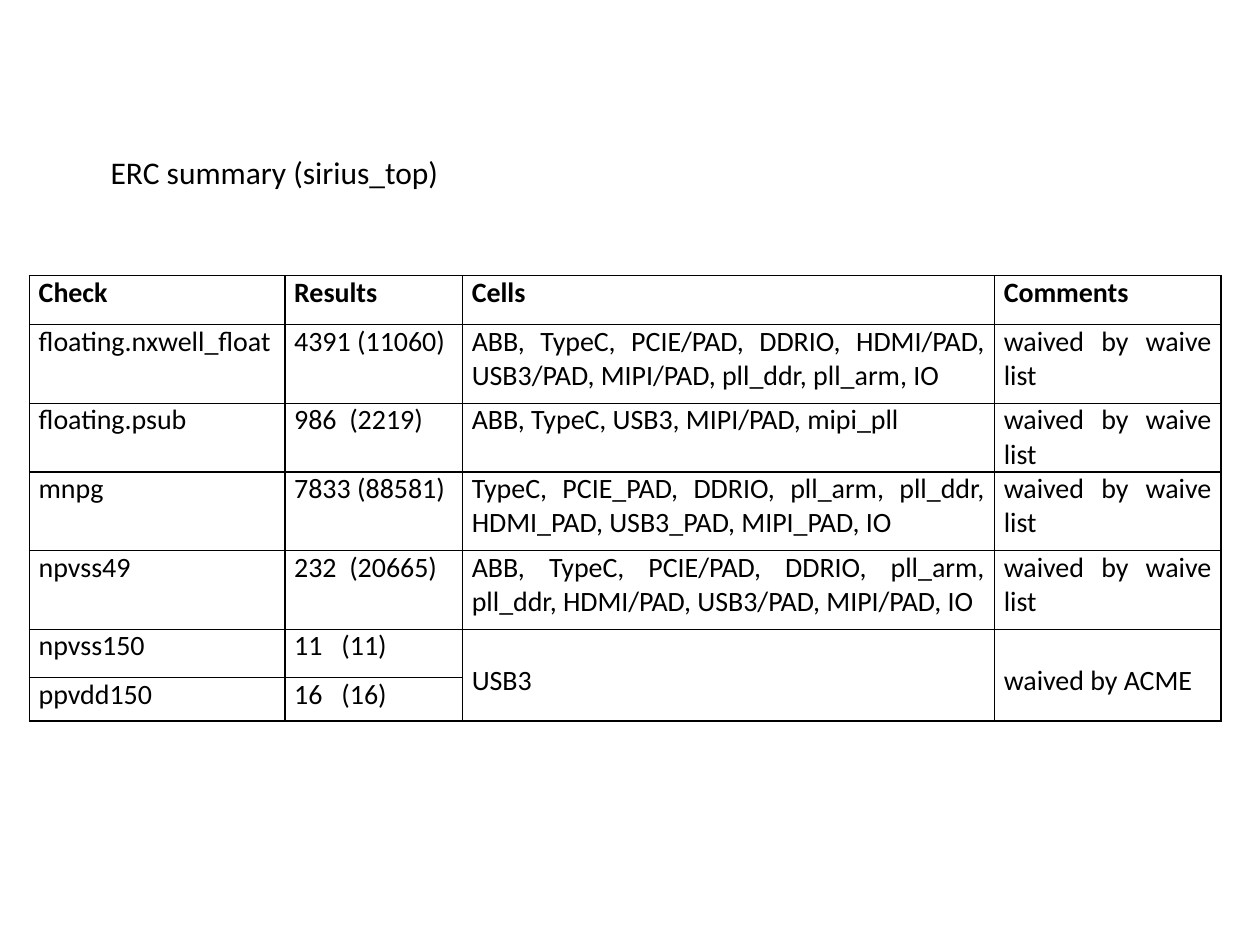
"""Build the ERC summary slide: a title above a table of check results."""
from lxml import etree
from pptx import Presentation
from pptx.dml import color
from pptx.enum import text
from pptx.oxml import ns
from pptx.util import Pt

TITLE = "ERC summary (sirius_top)"
HEADER = ("Check", "Results", "Cells", "Comments")
WAIVED = "waived by waive list"
CHECKS = [
    ("floating.nxwell_float", "4391", "(11060)",
     "ABB, TypeC, PCIE/PAD, DDRIO, HDMI/PAD, USB3/PAD, MIPI/PAD, pll_ddr, pll_arm, IO", WAIVED),
    ("floating.psub", "986", "(2219)", "ABB, TypeC, USB3, MIPI/PAD, mipi_pll", WAIVED),
    ("mnpg", "7833", "(88581)",
     "TypeC, PCIE_PAD, DDRIO, pll_arm, pll_ddr, HDMI_PAD, USB3_PAD, MIPI_PAD, IO", WAIVED),
    ("npvss49", "232", "(20665)",
     "ABB, TypeC, PCIE/PAD, DDRIO, pll_arm, pll_ddr, HDMI/PAD, USB3/PAD, MIPI/PAD, IO", WAIVED),
    ("npvss150", "11", "(11)", "USB3", "waived by ACME"),
    ("ppvdd150", "16", "(16)", "", ""),
]
COLUMNS = (146, 101.5, 304, 129.5)
ROWS = (28, 45, 39, 45, 45, 27.5, 25)
MERGED_ROWS = (5, 6)
MERGED_COLUMNS = (2, 3)
THEME = {"font": "Calibri", "ink": color.RGBColor(0, 0, 0), "line": "000000",
         "title": Pt(18), "cell": Pt(16), "row_line": Pt(19.5), "border": Pt(1)}


def style(p, size, bold=False):
    f = p.font
    f.name, f.size, f.bold = THEME["font"], size, bold
    f.color.rgb = THEME["ink"]


def add_tab(p, position):
    tabs = etree.SubElement(p._p.get_or_add_pPr(), ns.qn("a:tabLst"))
    etree.SubElement(tabs, ns.qn("a:tab"), pos=str(position), algn="l")


def add_borders(cell):
    tc_pr = cell._tc.get_or_add_tcPr()
    for i, side in enumerate(("lnL", "lnR", "lnT", "lnB")):
        ln = etree.Element(ns.qn("a:" + side), w=str(THEME["border"]))
        fill = etree.SubElement(ln, ns.qn("a:solidFill"))
        etree.SubElement(fill, ns.qn("a:srgbClr"), val=THEME["line"])
        tc_pr.insert(i, ln)


def fill_cell(cell, words, bold=False, tab=None):
    cell.fill.background()
    cell.margin_left = cell.margin_right = Pt(5.4)
    cell.margin_top = cell.margin_bottom = 0
    cell.vertical_anchor = text.MSO_ANCHOR.TOP
    p = cell.text_frame.paragraphs[0]
    p.text = words
    p.alignment = text.PP_ALIGN.JUSTIFY
    if tab is not None:
        add_tab(p, tab)
    style(p, THEME["cell"], bold)
    add_borders(cell)


def add_title(s):
    sp = s.shapes.title
    sp.left, sp.top, sp.width, sp.height = Pt(56), Pt(84), Pt(468), Pt(29)
    tf = sp.text_frame
    tf.text = TITLE
    tf.word_wrap = True
    tf.vertical_anchor = text.MSO_ANCHOR.TOP
    p = tf.paragraphs[0]
    p.alignment = text.PP_ALIGN.LEFT
    style(p, THEME["title"])


def add_checks(s):
    table = s.shapes.add_table(len(ROWS), len(COLUMNS), Pt(16.75), Pt(157.5),
                               Pt(sum(COLUMNS)), Pt(sum(ROWS))).table
    table.first_row = table.horz_banding = False
    for column, width in zip(table.columns, COLUMNS):
        column.width = Pt(width)
    for row, height in zip(table.rows, ROWS):
        row.height = Pt(height)
    for c, words in enumerate(HEADER):
        fill_cell(table.cell(0, c), words, bold=True)
    for r, (check, count, total, cells, comment) in enumerate(CHECKS, 1):
        fill_cell(table.cell(r, 0), check)
        fill_cell(table.cell(r, 1), f"{count}\t{total}", tab=Pt(18 + 4.5 * len(count)))
        fill_cell(table.cell(r, 2), cells)
        fill_cell(table.cell(r, 3), comment)
    first, last = MERGED_ROWS
    for c in MERGED_COLUMNS:
        cell = table.cell(first, c)
        cell.merge(table.cell(last, c))
        cell.margin_top = THEME["row_line"]


def main():
    prs = Presentation()
    prs.slide_width, prs.slide_height = Pt(720), Pt(540)
    s = prs.slides.add_slide(prs.slide_layouts[5])
    add_title(s)
    add_checks(s)
    prs.save("out.pptx")


if __name__ == "__main__":
    main()
